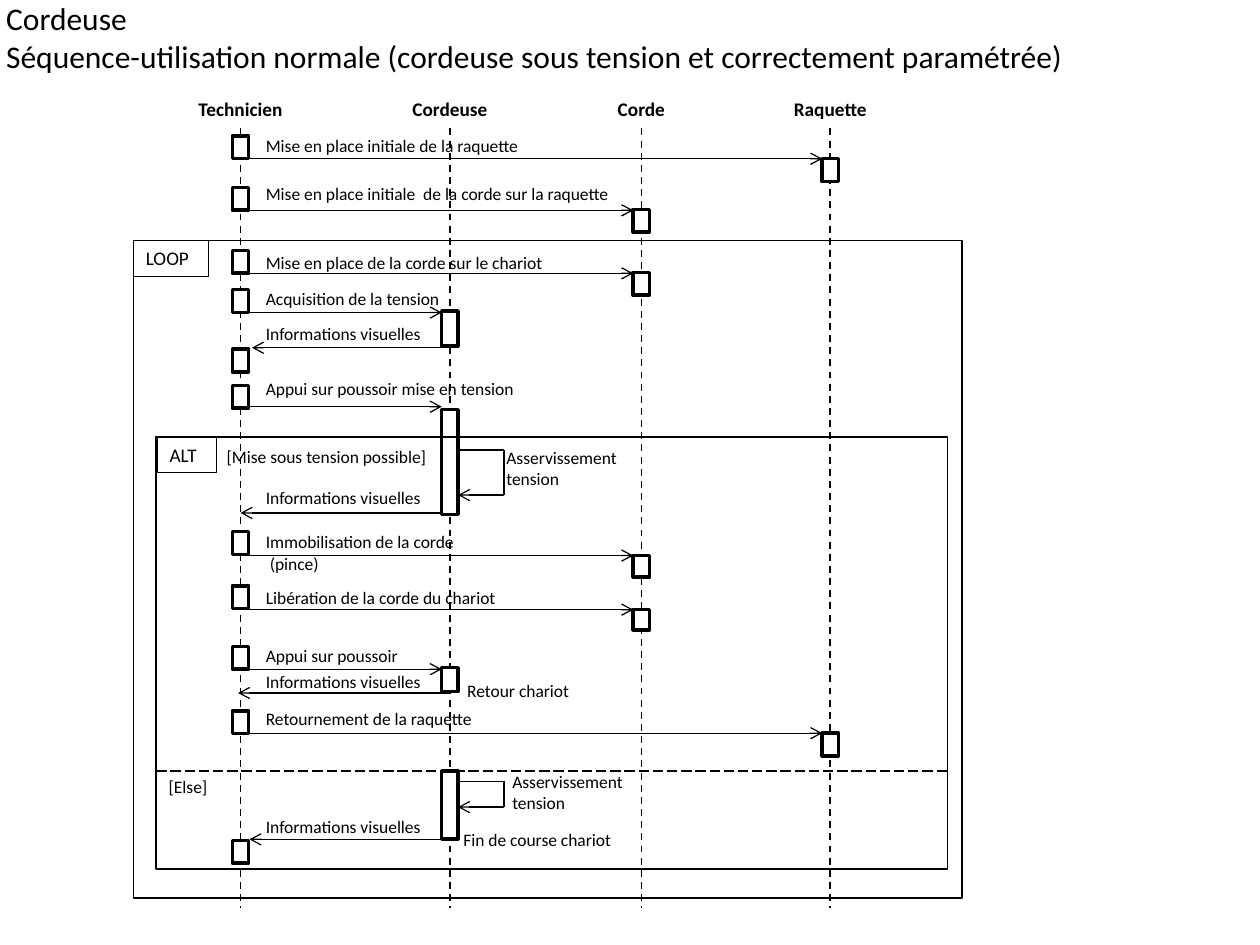
"""Build the sequence diagram slide for normal use of a stringing machine."""
from dataclasses import dataclass

from lxml import etree
from pptx import Presentation
from pptx.dml.color import RGBColor
from pptx.enum.dml import MSO_LINE
from pptx.enum.shapes import MSO_CONNECTOR, MSO_SHAPE
from pptx.enum.text import MSO_ANCHOR, MSO_AUTO_SIZE, PP_ALIGN
from pptx.oxml.ns import qn
from pptx.util import Cm, Pt

STRAIGHT = MSO_CONNECTOR.STRAIGHT
RECTANGLE = MSO_SHAPE.RECTANGLE
DASH, LONG_DASH = MSO_LINE.DASH, MSO_LINE.LONG_DASH
LEFT, CENTER = PP_ALIGN.LEFT, PP_ALIGN.CENTER
TOP = MSO_ANCHOR.TOP
NO_AUTOFIT = MSO_AUTO_SIZE.NONE
TITLE_ONLY = 5


@dataclass(frozen=True)
class Theme:
    ink: RGBColor = RGBColor(0, 0, 0)
    paper: RGBColor = RGBColor(255, 255, 255)
    font: str = "Calibri"
    title: int = 18
    heading: int = 11
    label: int = 10
    thin: float = 0.75
    medium: float = 1
    thick: float = 2


theme = Theme()
presentation = Presentation()
presentation.slide_width, presentation.slide_height = Cm(25.4), Cm(19.05)
slide = presentation.slides.add_slide(presentation.slide_layouts[TITLE_ONLY])
shapes = slide.shapes


def write(shape, text, size, bold=False, align=LEFT, wrap=False):
    frame = shape.text_frame
    frame.text = text
    frame_format = {"word_wrap": wrap, "auto_size": NO_AUTOFIT, "vertical_anchor": TOP}
    for name, value in frame_format.items():
        setattr(frame, name, value)
    font_format = {"name": theme.font, "size": Pt(size), "bold": bold}
    for paragraph in frame.paragraphs:
        paragraph.alignment = align
        for run in paragraph.runs:
            for name, value in font_format.items():
                setattr(run.font, name, value)
            run.font.color.rgb = theme.ink


def draw_line(start_x, start_y, end_x, end_y, width=theme.thin, dash=None, arrow=False):
    points = [Cm(value) for value in (start_x, start_y, end_x, end_y)]
    connector = shapes.add_connector(STRAIGHT, *points)
    connector.line.color.rgb = theme.ink
    connector.line.width = Pt(width)
    if dash is not None:
        connector.line.dash_style = dash
    if arrow:
        etree.SubElement(connector.line._get_or_add_ln(), qn("a:tailEnd"), type="arrow")
    etree.SubElement(connector._element.spPr, qn("a:effectLst"))


title = shapes.title
title_box = {"left": -0.13, "top": -0.15, "width": 21.87, "height": 1.8}
for name, value in title_box.items():
    setattr(title, name, Cm(value))
write(title, "Cordeuse\nSéquence-utilisation normale (cordeuse sous tension et "
      "correctement paramétrée)", theme.title)

lifelines = {"Technicien": 4.85, "Cordeuse": 9.07, "Corde": 12.93, "Raquette": 16.74}
heading_widths = [2.26, 2.03, 1.47, 2.01]
for (actor, center), width in zip(lifelines.items(), heading_widths):
    heading = shapes.add_textbox(Cm(center - width / 2), Cm(1.83), Cm(width), Cm(0.69))
    write(heading, actor, theme.heading, bold=True, align=CENTER)
    draw_line(center, 2.59, center, 18.3, theme.medium, DASH)

bar_width = 0.33
bar_height = 0.46
half_bar = bar_width / 2
technician, machine, string, racket = lifelines.values()

messages = [
    (technician, racket, 3.2, half_bar),
    (technician, string, 4.24, half_bar),
    (technician, string, 5.51, half_bar),
    (technician, machine, 6.3, half_bar),
    (machine, technician, 7.01, 0.23),
    (technician, machine, 8.2, half_bar),
    (machine, technician, 10.34, 0),
    (technician, string, 11.2, half_bar),
    (technician, string, 12.29, half_bar),
    (technician, machine, 13.49, half_bar),
    (machine, technician, 13.97, -0.05),
    (technician, racket, 14.78, half_bar),
    (machine, technician, 16.92, 0.18),
]
for source, target, level, gap in messages:
    end = target - gap if target > source else target + gap
    draw_line(source, level, end, level, arrow=True)

loop_x = 10.16
for call_top, call_bottom in [(9.07, 9.98), (15.75, 16.27)]:
    draw_line(machine + half_bar, call_top, loop_x, call_top)
    draw_line(loop_x, call_top, loop_x, call_bottom)
    draw_line(loop_x, call_bottom, machine + half_bar, call_bottom, arrow=True)

technician_tops = [2.74, 3.78, 5.05, 5.84, 7.04, 7.77, 10.72, 11.81, 13.03, 14.33, 16.94]
bars = [(technician, top, bar_height) for top in technician_tops] + [
    (machine, 6.27, 0.71), (machine, 8.26, 2.11),
    (machine, 13.46, 0.48), (machine, 15.54, 1.37),
    (string, 4.22, bar_height), (string, 5.49, bar_height),
    (string, 11.2, 0.43), (string, 12.29, 0.41),
    (racket, 3.2, bar_height), (racket, 14.78, bar_height),
]
boxes = [(center - half_bar, top, bar_width, height, theme.thick, theme.paper, "")
         for center, top, height in bars]
boxes += [
    (2.69, 4.85, 16.71, 13.26, theme.medium, None, ""),
    (2.69, 4.85, 1.52, 0.72, theme.thin, None, "LOOP"),
    (3.15, 8.81, 15.95, 8.71, theme.medium, None, ""),
    (3.17, 8.81, 1.19, 0.72, theme.thin, None, "ALT"),
]
for left, top, width, height, weight, fill, text in boxes:
    box = shapes.add_shape(RECTANGLE, Cm(left), Cm(top), Cm(width), Cm(height))
    box.shadow.inherit = False
    box.line.color.rgb = theme.ink
    box.line.width = Pt(weight)
    if fill is None:
        box.fill.background()
    else:
        box.fill.solid()
        box.fill.fore_color.rgb = fill
    if text:
        write(box, text, theme.heading, wrap=True)

draw_line(3.15, 15.54, 19.1, 15.54, dash=LONG_DASH)

label_left = 5.11
feedback = "Informations visuelles"
servo = "Asservissement\ntension"
labels = [(label_left, top, width, text) for top, width, text in [
    (2.59, 5.69, "Mise en place initiale de la raquette"),
    (3.56, 7.52, "Mise en place initiale  de la corde sur la raquette"),
    (4.95, 6.15, "Mise en place de la corde sur le chariot"),
    (5.69, 4.04, "Acquisition de la tension"),
    (7.49, 5.56, "Appui sur poussoir mise en tension"),
    (10.59, 4.34, "Immobilisation de la corde\n (pince)"),
    (11.71, 5.21, "Libération de la corde du chariot"),
    (12.88, 3.2, "Appui sur poussoir"),
    (14.15, 4.83, "Retournement de la raquette"),
]]
labels += [(label_left, top, 3.68, feedback) for top in (6.38, 9.7, 13.41, 16.33)]
labels += [
    (4.32, 8.86, 5.41, "[Mise sous tension possible]"),
    (9.96, 8.89, 2.77, servo),
    (9.17, 13.59, 2.59, "Retour chariot"),
    (3.15, 15.52, 1.3, "[Else]"),
    (10.08, 15.42, 2.77, servo),
    (9.09, 16.59, 3.53, "Fin de course chariot"),
]
for left, top, width, text in labels:
    height = 1.12 if "\n" in text else 0.69
    label = shapes.add_textbox(Cm(left), Cm(top), Cm(width), Cm(height))
    write(label, text, theme.label, wrap=text.startswith("[Mise"))

presentation.save("out.pptx")
